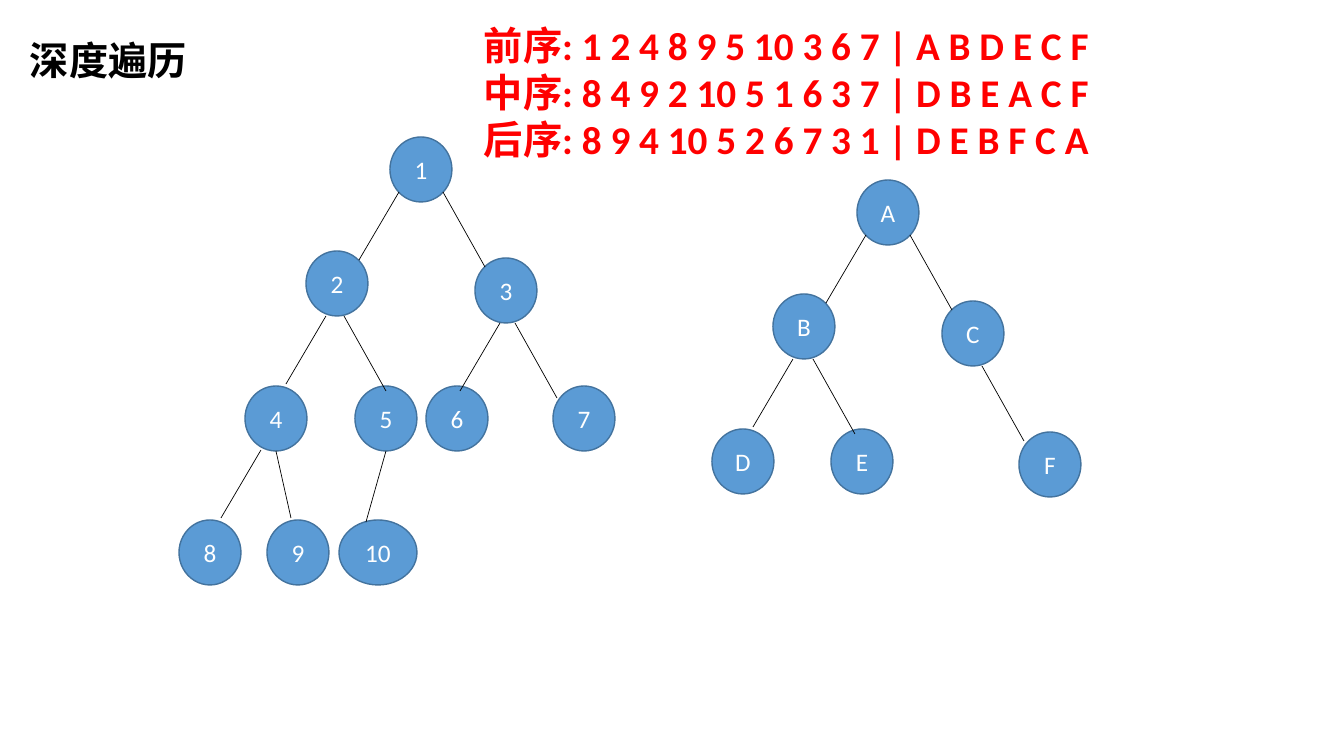
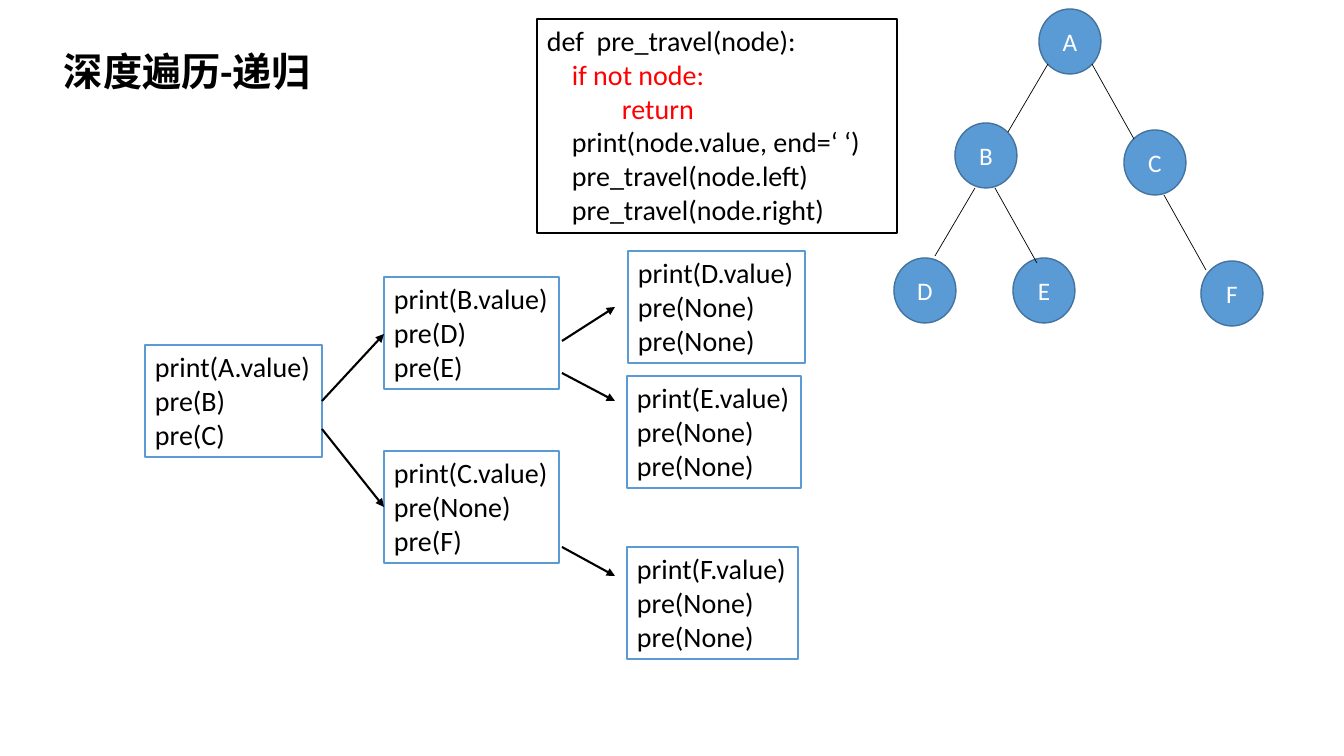
import dataclasses

import lxml.etree
import pptx
import pptx.dml.color
import pptx.enum.shapes
import pptx.enum.text
import pptx.oxml.ns
import pptx.shapes.autoshape
import pptx.shapes.connector
import pptx.slide
import pptx.util

SCALE = 914400 / 100.8
FONT = "Calibri"
COLORS = {
    "node": "5B9BD5",
    "node_edge": "43739E",
    "black": "000000",
    "white": "FFFFFF",
    "red": "FF0000",
}
NODE_WIDTH, NODE_HEIGHT = 62, 65
LEFT, RIGHT = (-40, 68), (42, 75)  # run of a branch to either child
LINE_HEIGHT, BOX_PADDING = 34, 10
CODE_INDENT = 25


@dataclasses.dataclass(frozen=True)
class Node:
    """Place relative to the tree's root; branch start relative to the parent."""
    label: str
    x: int
    y: int
    parent: str = ""
    start: tuple[int, int] = (0, 0)
    run: tuple[int, int] = LEFT
    width: int = NODE_WIDTH


@dataclasses.dataclass(frozen=True)
class Line:
    text: str
    color: str = "black"
    indent: int = 0


@dataclasses.dataclass(frozen=True)
class Call:
    x: int
    y: int
    width: int
    name: str
    left: str
    right: str


@dataclasses.dataclass(frozen=True)
class Arrow:
    start: tuple[int, int]
    end: tuple[int, int]


NUMBER_TREE = [
    Node("1", 0, 0),
    Node("2", -84, 114, "1", (9, 55)),
    Node("3", 85, 121, "1", (53, 55), RIGHT),
    Node("4", -145, 249, "2", (20, 65)),
    Node("5", -35, 249, "2", (38, 65), RIGHT),
    Node("6", 36, 249, "3", (25, 65)),
    Node("7", 163, 249, "3", (40, 65), RIGHT),
    Node("8", -211, 383, "4", (16, 64)),
    Node("9", -123, 383, "4", (31, 65), (15, 67)),
    Node("10", -51, 383, "5", (31, 65), (-20, 71), width=78),
]
LETTER_TREE = [
    Node("A", 0, 0),
    Node("B", -84, 114, "A", (9, 55)),
    Node("C", 85, 121, "A", (53, 55), RIGHT),
    Node("D", -145, 249, "B", (20, 65)),
    Node("E", -26, 249, "B", (40, 65), RIGHT),
    Node("F", 162, 252, "C", (40, 65), RIGHT),
]
ORDERS = [
    Line("前序: 1 2 4 8 9 5 10 3 6 7 | A B D E C F", "red"),
    Line("中序: 8 4 9 2 10 5 1 6 3 7 | D B E A C F", "red"),
    Line("后序: 8 9 4 10 5 2 6 7 3 1 | D E B F C A", "red"),
]
CODE = [
    Line("def  pre_travel(node):"),
    Line("if not node:", "red", 1),
    Line("return", "red", 3),
    Line("print(node.value, end=‘ ‘)", indent=1),
    Line("pre_travel(node.left)", indent=1),
    Line("pre_travel(node.right)", indent=1),
]
CALLS = [
    Call(145, 345, 177, "A", "B", "C"),
    Call(384, 277, 175, "B", "D", "E"),
    Call(384, 451, 175, "C", "None", "F"),
    Call(628, 251, 177, "D", "None", "None"),
    Call(627, 376, 174, "E", "None", "None"),
    Call(627, 547, 171, "F", "None", "None"),
]
ARROWS = [
    Arrow((322, 401), (384, 334)),
    Arrow((322, 429), (384, 507)),
    Arrow((562, 341), (615, 307)),
    Arrow((562, 373), (615, 401)),
    Arrow((562, 547), (615, 576)),
]


# Basic drawing
def px(length: float) -> int:
    return round(length * SCALE)


def rgb(name: str) -> pptx.dml.color.RGBColor:
    return pptx.dml.color.RGBColor.from_string(COLORS[name])


def write_text(shape: pptx.shapes.autoshape.Shape, lines: list[Line], *, size: int,
               bold: bool = False, wrap: bool = True, grow: bool = True,
               centered: bool = False) -> None:
    frame = shape.text_frame
    frame.word_wrap = wrap
    sizes = pptx.enum.text.MSO_AUTO_SIZE
    frame.auto_size = sizes.SHAPE_TO_FIT_TEXT if grow else sizes.NONE
    anchors = pptx.enum.text.MSO_ANCHOR
    frame.vertical_anchor = anchors.MIDDLE if centered else anchors.TOP
    aligns = pptx.enum.text.PP_ALIGN
    for index, line in enumerate(lines):
        para = frame.add_paragraph() if index else frame.paragraphs[0]
        para.alignment = aligns.CENTER if centered else aligns.LEFT
        if line.indent:
            para._p.get_or_add_pPr().set("marL", str(px(line.indent * CODE_INDENT)))
        span = para.add_run()
        span.text = line.text
        span.font.name = FONT
        span.font.size = pptx.util.Pt(size)
        span.font.bold = bold
        span.font.color.rgb = rgb(line.color)


def add_box(page: pptx.slide.Slide, x: int, y: int, width: int, height: int, *,
            fill: str, line: str, oval: bool = False) -> pptx.shapes.autoshape.Shape:
    kinds = pptx.enum.shapes.MSO_SHAPE
    box = page.shapes.add_shape(kinds.OVAL if oval else kinds.RECTANGLE,
                                px(x), px(y), px(width), px(height))
    box.shadow.inherit = False
    box.fill.solid()
    box.fill.fore_color.rgb = rgb(fill)
    box.line.color.rgb = rgb(line)
    box.line.width = pptx.util.Pt(1)
    return box


def add_text(page: pptx.slide.Slide, x: int, y: int, width: int, height: int,
             lines: list[Line]) -> None:
    box = page.shapes.add_textbox(px(x), px(y), px(width), px(height))
    write_text(box, lines, size=28, bold=True)


def add_line(page: pptx.slide.Slide, start: tuple[int, int], end: tuple[int, int], *,
             weight: float, arrow: bool = False) -> pptx.shapes.connector.Connector:
    connector = page.shapes.add_connector(
        pptx.enum.shapes.MSO_CONNECTOR.STRAIGHT, *map(px, (*start, *end)))
    connector.line.color.rgb = rgb("black")
    connector.line.width = pptx.util.Pt(weight)
    if arrow:
        lxml.etree.SubElement(connector.line._get_or_add_ln(),
                              pptx.oxml.ns.qn("a:tailEnd"), type="triangle")
    lxml.etree.SubElement(connector._element.spPr, pptx.oxml.ns.qn("a:effectLst"))
    return connector


# Parts of the slides
def add_page(deck: pptx.presentation.Presentation, title: str,
             x: int, y: int, width: int) -> pptx.slide.Slide:
    page = deck.slides.add_slide(deck.slide_layouts[6])
    add_text(page, x, y, width, 57, [Line(title)])
    return page


def add_tree(page: pptx.slide.Slide, nodes: list[Node], x: int, y: int) -> None:
    by_label = {node.label: node for node in nodes}
    for node in nodes:
        circle = add_box(page, x + node.x, y + node.y, node.width, NODE_HEIGHT,
                         fill="node", line="node_edge", oval=True)
        write_text(circle, [Line(node.label, "white")], size=18,
                   grow=False, centered=True)
    for node in nodes:
        if node.parent:
            parent = by_label[node.parent]
            start = (x + parent.x + node.start[0], y + parent.y + node.start[1])
            end = (start[0] + node.run[0], start[1] + node.run[1])
            add_line(page, start, end, weight=0.5)


def add_call(page: pptx.slide.Slide, call: Call) -> None:
    lines = [Line(f"print({call.name}.value)"),
             Line(f"pre({call.left})"), Line(f"pre({call.right})")]
    box = add_box(page, call.x, call.y, call.width,
                  len(lines) * LINE_HEIGHT + BOX_PADDING, fill="white", line="node")
    write_text(box, lines, size=20, wrap=False)


deck = pptx.Presentation()
deck.slide_width, deck.slide_height = px(1344), px(756)

# Slide 1: depth-first orders of two trees
page = add_page(deck, "深度遍历", 20, 31, 180)
add_tree(page, NUMBER_TREE, 390, 137)
add_text(page, 474, 16, 699, 152, ORDERS)
add_tree(page, LETTER_TREE, 857, 180)

# Slide 2: recursive calls of the pre-order walk
page = add_page(deck, "深度遍历-递归", 54, 42, 281)
add_tree(page, LETTER_TREE, 1039, 9)
code_box = add_box(page, 537, 19, 360, len(CODE) * LINE_HEIGHT + BOX_PADDING,
                   fill="white", line="black")
write_text(code_box, CODE, size=20)
for call in CALLS:
    add_call(page, call)
for arrow in ARROWS:
    add_line(page, arrow.start, arrow.end, weight=1.5, arrow=True)

deck.save("out.pptx")
